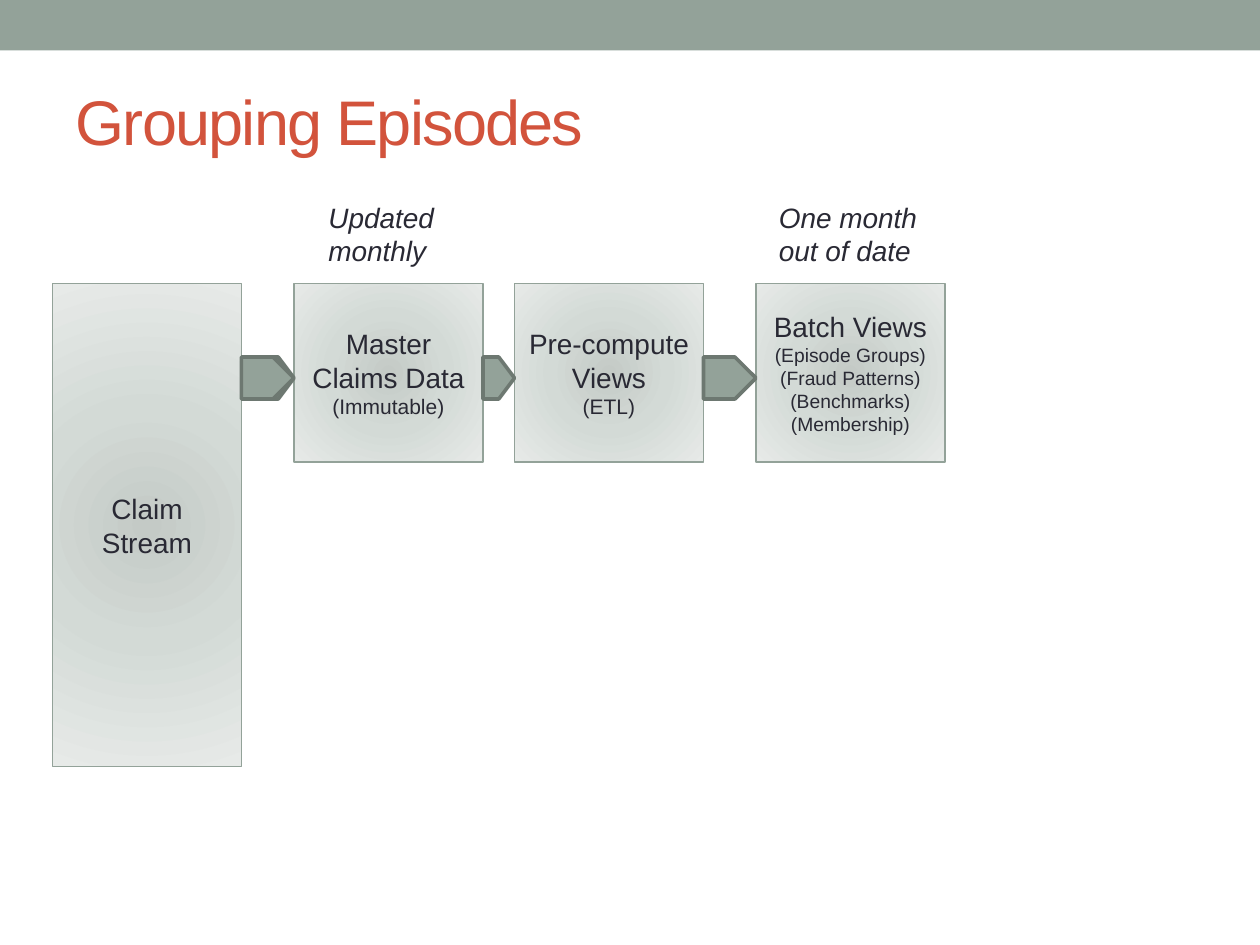
from dataclasses import dataclass
from pptx import Presentation
from pptx.dml.color import RGBColor
from pptx.enum.shapes import MSO_SHAPE
from pptx.enum.text import MSO_ANCHOR, MSO_AUTO_SIZE, PP_ALIGN
from pptx.oxml import parse_xml
from pptx.oxml.ns import nsdecls, qn
from pptx.util import Inches, Pt

RECT, PLATE = MSO_SHAPE.RECTANGLE, MSO_SHAPE.PENTAGON
MIDDLE, LEFT, CENTER = MSO_ANCHOR.MIDDLE, PP_ALIGN.LEFT, PP_ALIGN.CENTER
FIT = MSO_AUTO_SIZE.SHAPE_TO_FIT_TEXT
UNIT = Inches(1) // 12
FONT = "Arial"
COLORS = {"sage": "93A299", "edge": "6D7871", "ink": "292934", "title": "D2533C"}
STOPS = {0: "C4CAC6", 45: "D3DAD6", 100: "E7EAE8"}


@dataclass
class Box:
    col: float
    high: float
    text: str
    heads: int
    small: int = 12


@dataclass
class Arrow:
    col: float
    wide: float


@dataclass
class Label:
    col: float
    wide: float
    text: str


def grid(*cells: float) -> list[int]:
    return [round(cell * UNIT) for cell in cells]


def color(name: str) -> RGBColor:
    return RGBColor.from_string(COLORS[name])


def style(para, size: float, name: str = "ink", slant: bool = False, align=LEFT) -> None:
    para.alignment = align
    for run in para.runs:
        font = run.font
        font.name, font.size, font.italic = FONT, Pt(size), slant
        font.color.rgb = color(name)


def shape(slide, kind, cells: tuple, edge: str = "", width: float = 0):
    item = slide.shapes.add_shape(kind, *grid(*cells))
    item.shadow.inherit = False
    item.fill.solid()
    item.fill.fore_color.rgb = color("sage")
    if edge:
        item.line.color.rgb = color(edge)
        item.line.width = Pt(width)
    else:
        item.line.fill.background()
    return item


def shade(item) -> None:
    stops = "".join(
        f'<a:gs pos="{pos * 1000}"><a:srgbClr val="{tone}"/></a:gs>'
        for pos, tone in STOPS.items()
    )
    fill = parse_xml(
        f'<a:gradFill {nsdecls("a")} rotWithShape="1"><a:gsLst>{stops}</a:gsLst>'
        '<a:path path="circle"><a:fillToRect l="100000" t="100000" '
        'r="100000" b="100000"/></a:path></a:gradFill>'
    )
    props = item.element.spPr
    props.replace(props.find(qn("a:solidFill")), fill)


def draw_box(slide, box: Box) -> None:
    item = shape(slide, RECT, (box.col, 27, 18, box.high), "sage", 0.75)
    shade(item)
    frame = item.text_frame
    frame.word_wrap = True
    frame.vertical_anchor = MIDDLE
    frame.text = box.text
    for row, para in enumerate(frame.paragraphs):
        style(para, 16 if row < box.heads else box.small, align=CENTER)


def draw_arrow(slide, arrow: Arrow) -> None:
    shape(slide, PLATE, (arrow.col, 34, arrow.wide, 4), "edge", 2.08)


def draw_label(slide, label: Label) -> None:
    item = slide.shapes.add_textbox(*grid(label.col, 18.5, label.wide, 7.7))
    frame = item.text_frame
    frame.word_wrap = False
    frame.auto_size = FIT
    frame.text = label.text
    for para in frame.paragraphs:
        style(para, 16, slant=True)


def draw_title(slide, text: str) -> None:
    title = slide.shapes.title
    title.left, title.top, title.width, title.height = grid(6, 5, 108, 13)
    frame = title.text_frame
    frame.text = text
    frame.vertical_anchor = MIDDLE
    para = frame.paragraphs[0]
    style(para, 36, "title")
    para.runs[0].font._element.set("spc", "-100")


BATCH = "Batch Views\n(Episode Groups)\n(Fraud Patterns)\n(Benchmarks)\n(Membership)"
PARTS = [
    Box(49, 17, "Pre-compute Views\n(ETL)", 1),
    Box(72, 17, BATCH, 1, 11),
    Box(28, 17, "Master\nClaims Data\n(Immutable)", 2),
    Arrow(67, 5),
    Arrow(46, 3),
    Arrow(25, 3),
    Label(30.1, 13.3, "Updated \nmonthly"),
    Label(73, 16.5, "One month \nout of date"),
    Box(5, 46, "Claim Stream", 1),
    Arrow(23, 5),
]
DRAW = {Box: draw_box, Arrow: draw_arrow, Label: draw_label}

deck = Presentation()
deck.slide_width, deck.slide_height = grid(120, 90)
slide = deck.slides.add_slide(deck.slide_layouts[5])
shape(slide, RECT, (0, 0, 120, 4.8))
draw_title(slide, "Grouping Episodes")
for part in PARTS:
    DRAW[type(part)](slide, part)
deck.save("out.pptx")
